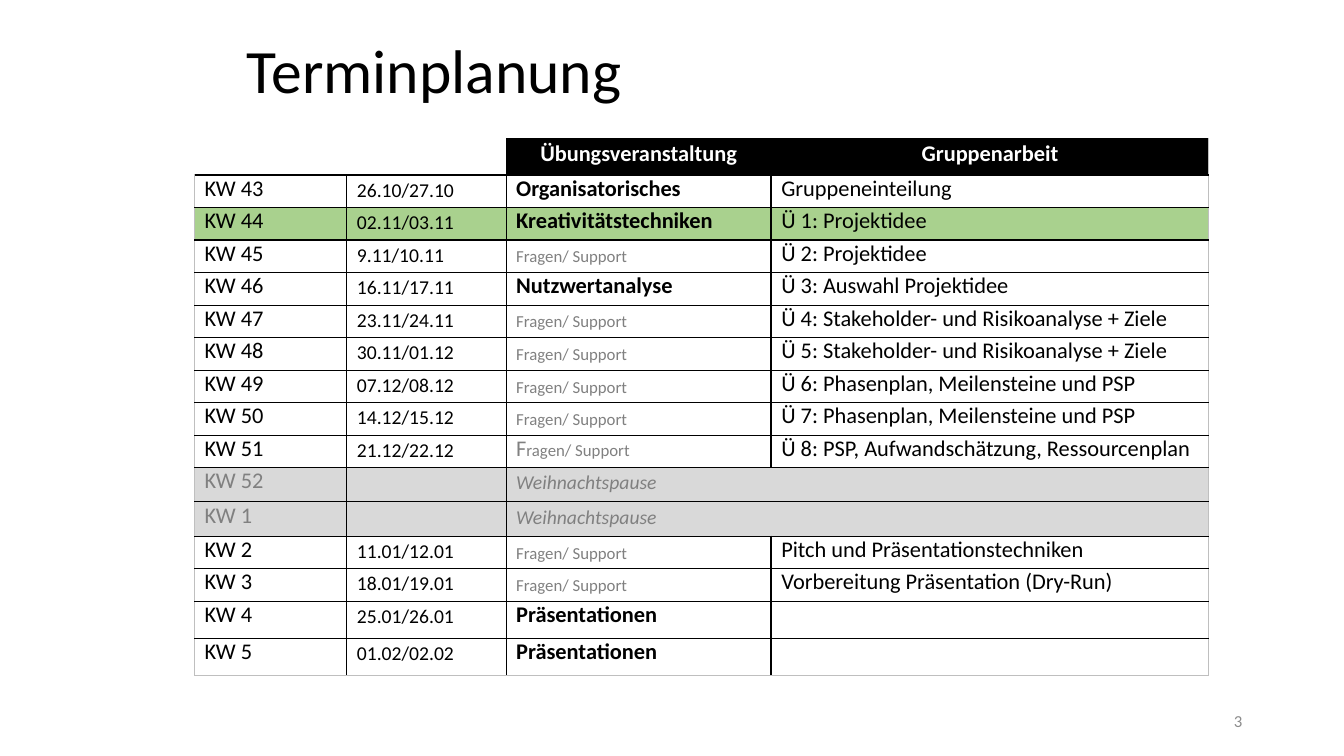
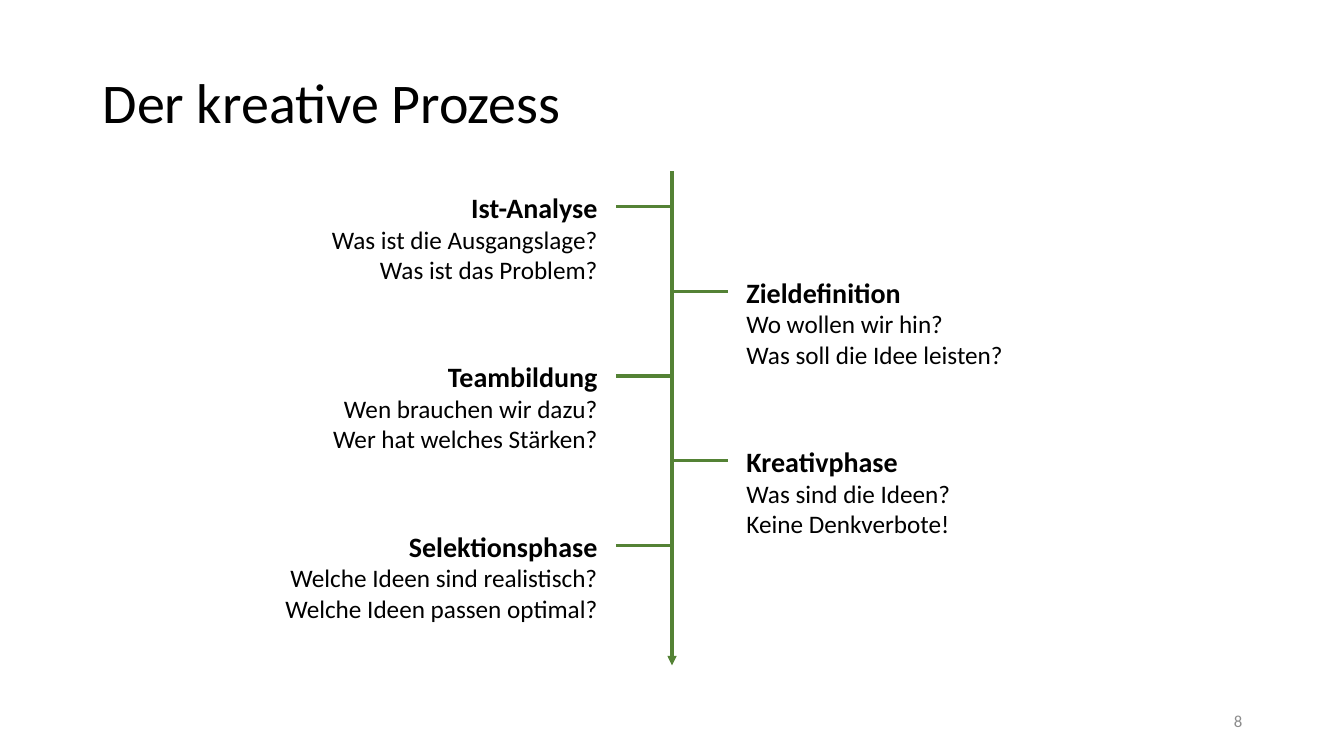
import pptx
import pptx.dml.color
import pptx.enum.shapes
import pptx.enum.text
import pptx.oxml
import pptx.oxml.ns
import pptx.util
from lxml import etree

WIDTH, HEIGHT = 13.33, 7.5
FONT = "Calibri"
BLACK, WHITE, MUTED = "000000", "FFFFFF", "808080"
NUMBER_GREY, EDGE_GREY, BREAK_FILL = "8C8C8C", "BFBFBF", "D9D9D9"
CURRENT_FILL, GREEN = "A9D18E", "548235"
LEFT, CENTER, RIGHT = (pptx.enum.text.PP_ALIGN.LEFT, pptx.enum.text.PP_ALIGN.CENTER,
                       pptx.enum.text.PP_ALIGN.RIGHT)
MIDDLE, TOP = pptx.enum.text.MSO_ANCHOR.MIDDLE, pptx.enum.text.MSO_ANCHOR.TOP
NO_TABLE_STYLE = "{2D5ABB26-0587-4C30-8999-92F81FD0307C}"

SUPPORT, BREAK = "Fragen/ Support", "Weihnachtspause"
CURRENT_WEEK, LARGE_INITIAL_WEEK = "KW 44", "KW 51"
SCHEDULE = [
    ("", "", "Übungsveranstaltung", "Gruppenarbeit"),
    ("KW 43", "26.10/27.10", "Organisatorisches", "Gruppeneinteilung"),
    ("KW 44", "02.11/03.11", "Kreativitätstechniken", "Ü 1: Projektidee"),
    ("KW 45", "9.11/10.11", SUPPORT, "Ü 2: Projektidee"),
    ("KW 46", "16.11/17.11", "Nutzwertanalyse", "Ü 3: Auswahl Projektidee"),
    ("KW 47", "23.11/24.11", SUPPORT, "Ü 4: Stakeholder- und Risikoanalyse + Ziele"),
    ("KW 48", "30.11/01.12", SUPPORT, "Ü 5: Stakeholder- und Risikoanalyse + Ziele"),
    ("KW 49", "07.12/08.12", SUPPORT, "Ü 6: Phasenplan, Meilensteine und PSP"),
    ("KW 50", "14.12/15.12", SUPPORT, "Ü 7: Phasenplan, Meilensteine und PSP"),
    ("KW 51", "21.12/22.12", SUPPORT, "Ü 8: PSP, Aufwandschätzung, Ressourcenplan"),
    ("KW 52", "", BREAK, ""),
    ("KW 1", "", BREAK, ""),
    ("KW 2", "11.01/12.01", SUPPORT, "Pitch und Präsentationstechniken"),
    ("KW 3", "18.01/19.01", SUPPORT, "Vorbereitung Präsentation (Dry-Run)"),
    ("KW 4", "25.01/26.01", "Präsentationen", ""),
    ("KW 5", "01.02/02.02", "Präsentationen", ""),
]
COLUMN_WIDTHS = [1.51, 1.58, 2.63, 4.34]

STAGES = [
    ("Ist-Analyse", "Was ist die Ausgangslage?", "Was ist das Problem?"),
    ("Zieldefinition", "Wo wollen wir hin?", "Was soll die Idee leisten?"),
    ("Teambildung", "Wen brauchen wir dazu?", "Wer hat welches Stärken?"),
    ("Kreativphase", "Was sind die Ideen?", "Keine Denkverbote!"),
    ("Selektionsphase", "Welche Ideen sind realistisch?", "Welche Ideen passen optimal?"),
]


def color(value):
    return pptx.dml.color.RGBColor.from_string(value)


def inches(*lengths):
    return [pptx.util.Inches(length) for length in lengths]


def style(paragraph, size, hue=BLACK, bold=False, italic=False, align=LEFT):
    font = paragraph.font
    font.name, font.size, font.bold, font.italic = FONT, pptx.util.Pt(size), bold, italic
    font.color.rgb = color(hue)
    paragraph.alignment = align


def add_text(slide, box, lines, anchor=TOP):
    """Add a text box; each line is its text and its style options."""
    frame = slide.shapes.add_textbox(*inches(*box)).text_frame
    frame.word_wrap = True
    frame.vertical_anchor = anchor
    frame.text = "\n".join(text for text, _ in lines)
    for paragraph, (_, options) in zip(frame.paragraphs, lines):
        style(paragraph, **options)
    return frame


def add_slide(presentation, title, title_box, title_size, number):
    slide = presentation.slides.add_slide(presentation.slide_layouts[6])
    frame = add_text(slide, title_box, [(title, {"size": title_size})], MIDDLE)
    frame.paragraphs[0].line_spacing = 0.9
    add_text(slide, (9.42, 6.95, 3, 0.4),
             [(number, {"size": 12, "hue": NUMBER_GREY, "align": RIGHT})], MIDDLE)
    return slide


def add_line(slide, start, end, arrow=False):
    line = slide.shapes.add_connector(pptx.enum.shapes.MSO_CONNECTOR.STRAIGHT,
                                      *inches(*start, *end))
    line.line.color.rgb = color(GREEN)
    line.line.width = pptx.util.Pt(2.25)
    if arrow:
        etree.SubElement(line.line._get_or_add_ln(), pptx.oxml.ns.qn("a:tailEnd"),
                         type="triangle")
    etree.SubElement(line._element.spPr, pptx.oxml.ns.qn("a:effectLst"))


def set_borders(cell, borders):
    """Draw borders given as side: (colour, points); call before filling the cell."""
    properties = cell._tc.get_or_add_tcPr()
    for side in "LRTB":
        hue, points = borders.get(side, (None, 0))
        width = int(pptx.util.Pt(points))
        paint = f'<a:solidFill><a:srgbClr val="{hue}"/></a:solidFill>' if hue else "<a:noFill/>"
        properties.append(pptx.oxml.parse_xml(
            f'<a:ln{side} {pptx.oxml.ns.nsdecls("a")} w="{width}">{paint}</a:ln{side}>'))


def cell_borders(row, column):
    inner, outer = (BLACK, 1), (EDGE_GREY, 0.75)
    last_column = len(COLUMN_WIDTHS) - 1
    if row == 0 and column == 0:
        return {"B": inner}
    borders = {"B": outer if row == len(SCHEDULE) - 1 else inner, "R": inner}
    if row > 0:
        borders["T"] = inner
    if column > 0 and row > 0:
        borders["L"] = inner
    elif column == 0:
        borders["L"] = outer
    pause = SCHEDULE[row][2] == BREAK
    if column == last_column or (pause and column == 2):
        borders["R"] = outer
    elif column == 2:
        borders["R"] = (BLACK, 1.5)
    if column == last_column and not pause:
        borders["L"] = (BLACK, 1.5)
    return borders


def cell_style(row, column):
    session = SCHEDULE[row][2]
    if row == 0:
        return {"size": 16, "hue": WHITE, "bold": True, "align": CENTER}
    if session == BREAK:
        return {"size": 16 if column == 0 else 14, "hue": MUTED, "italic": column == 2}
    if column == 2:
        return {"size": 12, "hue": MUTED} if session == SUPPORT else {"size": 16, "bold": True}
    return {"size": 14 if column == 1 else 16}


def cell_fill(row, column):
    week, _, session, _ = SCHEDULE[row]
    if row == 0:
        return BLACK if column > 1 else None
    if session == BREAK:
        return BREAK_FILL
    return CURRENT_FILL if week == CURRENT_WEEK else WHITE


def row_height(row):
    _, _, session, group_work = SCHEDULE[row]
    if row == 0 or session == BREAK:
        return 0.34
    return 0.32 if group_work else 0.37


def fill_cell(cell, row, column):
    cell.text = SCHEDULE[row][column]
    paragraph = cell.text_frame.paragraphs[0]
    style(paragraph, **cell_style(row, column))
    paragraph.line_spacing = pptx.util.Pt(16)
    cell.vertical_anchor = MIDDLE if row == 0 else TOP
    set_borders(cell, cell_borders(row, column))
    fill = cell_fill(row, column)
    if fill:
        cell.fill.solid()
        cell.fill.fore_color.rgb = color(fill)
    else:
        cell.fill.background()


def enlarge_initial(paragraph, size):
    initial = paragraph.runs[0]
    rest = initial.text[1:]
    initial.text = initial.text[0]
    initial.font.size = pptx.util.Pt(size)
    paragraph.add_run().text = rest


def add_schedule(slide, left, top):
    heights = [row_height(row) for row in range(len(SCHEDULE))]
    table = slide.shapes.add_table(len(SCHEDULE), len(COLUMN_WIDTHS), *inches(
        left, top, sum(COLUMN_WIDTHS), sum(heights))).table
    table.first_row = table.horz_banding = False
    table._tbl.tblPr.find(pptx.oxml.ns.qn("a:tableStyleId")).text = NO_TABLE_STYLE
    for column, width in zip(table.columns, COLUMN_WIDTHS):
        column.width = pptx.util.Inches(width)
    for row, (week, _, session, _) in enumerate(SCHEDULE):
        table.rows[row].height = pptx.util.Inches(heights[row])
        for column in range(len(COLUMN_WIDTHS)):
            fill_cell(table.cell(row, column), row, column)
        if session == BREAK:
            table.cell(row, 2).merge(table.cell(row, 3))
        if week == LARGE_INITIAL_WEEK:
            enlarge_initial(table.cell(row, 2).text_frame.paragraphs[0], 16)


def add_process(slide):
    """Hang the stages on a vertical arrow, alternately left and right."""
    axis, first, step = WIDTH / 2, 2.05, 0.84
    branch, gap, text_width = 0.56, 0.64, 3.4
    add_line(slide, (axis, 1.7), (axis, 6.6), arrow=True)
    for index, (name, *questions) in enumerate(STAGES):
        y = first + index * step
        on_left = index % 2 == 0
        direction = -1 if on_left else 1
        add_line(slide, (axis, y), (axis + direction * branch, y))
        text_left = axis - gap - text_width if on_left else axis + gap
        align = RIGHT if on_left else LEFT
        lines = [(name, {"size": 20, "bold": True, "align": align})]
        lines += [(question, {"size": 18, "align": align}) for question in questions]
        add_text(slide, (text_left, y - 0.21, text_width, 1.04), lines)


def main():
    presentation = pptx.Presentation()
    presentation.slide_width, presentation.slide_height = inches(WIDTH, HEIGHT)
    schedule_slide = add_slide(presentation, "Terminplanung", (2.35, 0.22, 8.62, 1.02), 44, "3")
    add_schedule(schedule_slide, 1.93, 1.37)
    process_slide = add_slide(presentation, "Der kreative Prozess", (0.92, 0.6, 11.5, 0.89), 40, "8")
    add_process(process_slide)
    presentation.save("out.pptx")


if __name__ == "__main__":
    main()
